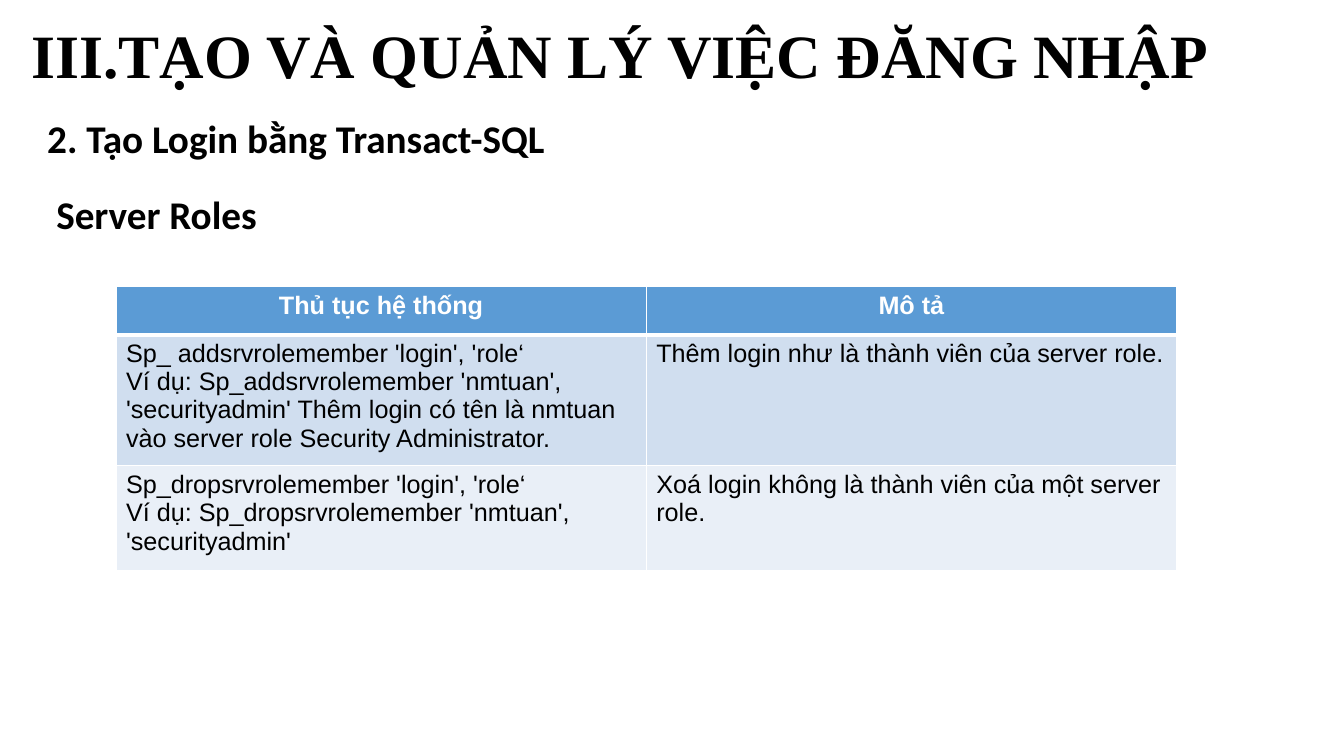
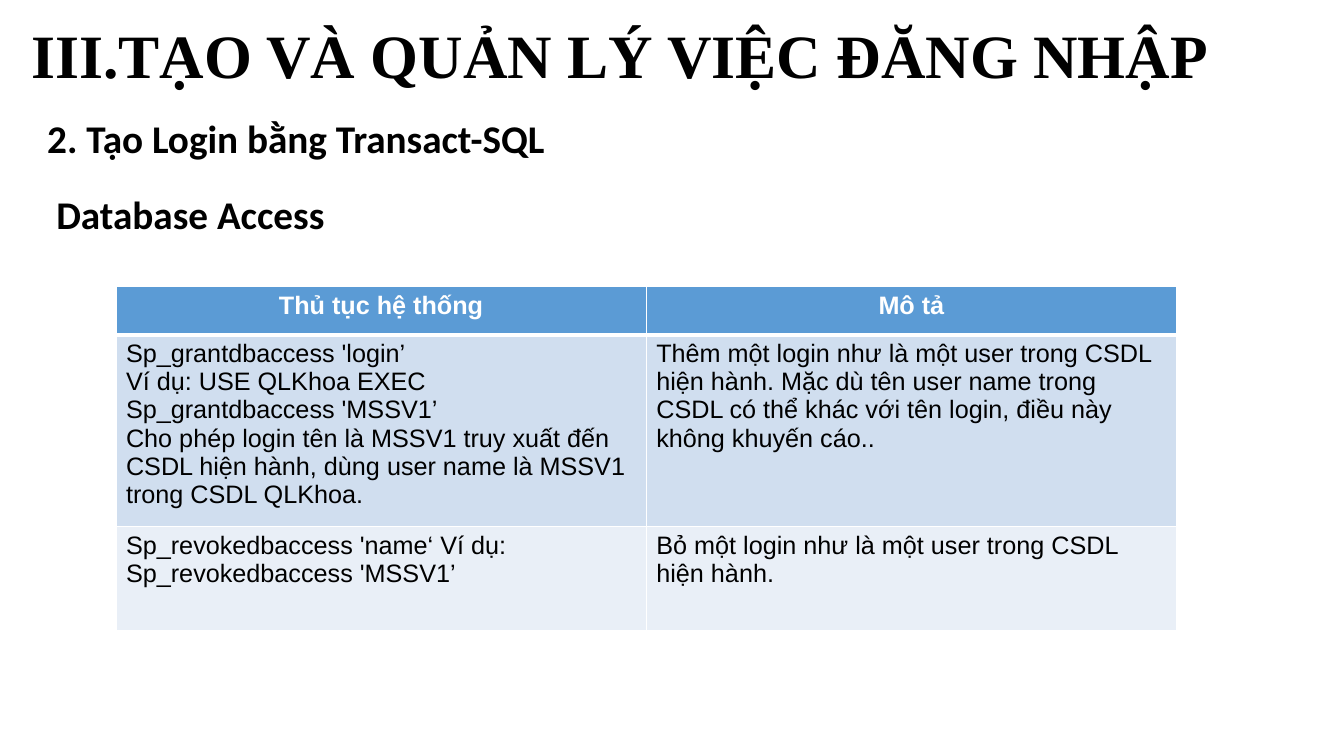
from dataclasses import dataclass

from lxml import etree
from pptx import Presentation
from pptx.dml.color import RGBColor
from pptx.enum import text
from pptx.oxml import ns
from pptx.util import Inches, Pt


@dataclass(frozen=True)
class Theme:
    ink: str = "000000"
    white: str = "FFFFFF"
    header: str = "5B9BD5"
    bands: tuple = ("D0DEEF", "E9EFF7")
    title_font: str = "Times New Roman"
    heading_font: str = "Calibri"
    table_font: str = "Arial"
    title_size: int = 44
    heading_size: int = 28
    table_size: int = 18
    rule: int = 1
    header_rule: int = 3


THEME = Theme()
TITLE = "III.TẠO VÀ QUẢN LÝ VIỆC ĐĂNG NHẬP"
SECTION = "2. Tạo Login bằng Transact-SQL"
COLUMNS = ("Thủ tục hệ thống", "Mô tả")
TITLE_BOX = (0.21, -0.14, 12.75, 1.45)
HEADINGS_BOX = (0.37, 0.95, 12.44, 1.7)
TABLE_BOX = (1.15, 2.84, 10.52, 2.56)
HEADER_HEIGHT = 0.48

TOPICS = (
    ("Server Roles", (
        ("Sp_ addsrvrolemember 'login', 'role‘\n"
         "Ví dụ: Sp_addsrvrolemember 'nmtuan', 'securityadmin' "
         "Thêm login có tên là nmtuan vào server role Security Administrator.",
         "Thêm login như là thành viên của server role."),
        ("Sp_dropsrvrolemember 'login', 'role‘\n"
         "Ví dụ: Sp_dropsrvrolemember 'nmtuan', 'securityadmin'",
         "Xoá login không là thành viên của một server role."),
    )),
    ("Database Access", (
        ("Sp_grantdbaccess 'login’\n"
         "Ví dụ: USE QLKhoa EXEC Sp_grantdbaccess 'MSSV1’\n"
         "Cho phép login tên là MSSV1 truy xuất đến CSDL hiện hành, "
         "dùng user name là MSSV1 trong CSDL QLKhoa.",
         "Thêm một login như là một user trong CSDL hiện hành. "
         "Mặc dù tên user name trong CSDL có thể khác với tên login, "
         "điều này không khuyến cáo.."),
        ("Sp_revokedbaccess 'name‘ Ví dụ: Sp_revokedbaccess 'MSSV1’",
         "Bỏ một login như là một user trong CSDL hiện hành."),
    )),
)


def style_runs(paragraph, font, size, color, bold):
    for run in paragraph.runs:
        run.font.name = font
        run.font.size = Pt(size)
        run.font.bold = bold
        run.font.color.rgb = RGBColor.from_string(color)


def place_title(slide, box):
    title = slide.shapes.title
    title.left, title.top, title.width, title.height = map(Inches, box)
    frame = title.text_frame
    frame.text = TITLE
    frame.auto_size = text.MSO_AUTO_SIZE.NONE
    frame.vertical_anchor = text.MSO_ANCHOR.MIDDLE
    line = frame.paragraphs[0]
    line.alignment = text.PP_ALIGN.LEFT
    line.line_spacing = 0.9
    style_runs(line, THEME.title_font, THEME.title_size, THEME.ink, True)


def place_headings(slide, box, topic):
    frame = slide.shapes.add_textbox(*map(Inches, box)).text_frame
    frame.word_wrap = True
    frame.text = f"{SECTION}\n{topic}"
    for heading in frame.paragraphs:
        heading.alignment = text.PP_ALIGN.JUSTIFY
        heading.line_spacing = 1.3
        style_runs(heading, THEME.heading_font, THEME.heading_size, THEME.ink, True)
    topic_line = frame.paragraphs[1]
    topic_line.space_before = Pt(10)
    topic_line._p.get_or_add_pPr().set("marL", str(Inches(0.09)))


def add_borders(cell, top, bottom):
    properties = cell._tc.get_or_add_tcPr()
    widths = {"lnL": THEME.rule, "lnR": THEME.rule, "lnT": top, "lnB": bottom}
    for side, width in widths.items():
        border = etree.SubElement(properties, ns.qn(f"a:{side}"), w=str(Pt(width)))
        fill = etree.SubElement(border, ns.qn("a:solidFill"))
        etree.SubElement(fill, ns.qn("a:srgbClr"), val=THEME.white)


def place_procedures(slide, box, procedures):
    rows = (COLUMNS, *procedures)
    table = slide.shapes.add_table(len(rows), len(COLUMNS), *map(Inches, box)).table
    for column in table.columns:
        column.width = Inches(box[2] / len(COLUMNS))
    body_height = (box[3] - HEADER_HEIGHT) / len(procedures)
    for index, contents in enumerate(rows):
        is_header = index == 0
        table.rows[index].height = Inches(HEADER_HEIGHT if is_header else body_height)
        color = THEME.white if is_header else THEME.ink
        background = THEME.header if is_header else THEME.bands[(index - 1) % 2]
        top = THEME.header_rule if index == 1 else THEME.rule
        bottom = THEME.header_rule if is_header else THEME.rule
        for cell, content in zip(table.rows[index].cells, contents):
            add_borders(cell, top, bottom)
            cell.fill.solid()
            cell.fill.fore_color.rgb = RGBColor.from_string(background)
            cell.text_frame.text = content
            for paragraph in cell.text_frame.paragraphs:
                paragraph.alignment = (
                    text.PP_ALIGN.CENTER if is_header else text.PP_ALIGN.LEFT)
                style_runs(paragraph, THEME.table_font, THEME.table_size,
                           color, is_header)


def add_topic_slide(deck, topic, procedures):
    slide = deck.slides.add_slide(deck.slide_layouts.get_by_name("Title Only"))
    place_title(slide, TITLE_BOX)
    place_headings(slide, HEADINGS_BOX, topic)
    place_procedures(slide, TABLE_BOX, procedures)


def main():
    deck = Presentation()
    deck.slide_width, deck.slide_height = Inches(13.33), Inches(7.5)
    for topic, procedures in TOPICS:
        add_topic_slide(deck, topic, procedures)
    deck.save("out.pptx")


if __name__ == "__main__":
    main()
